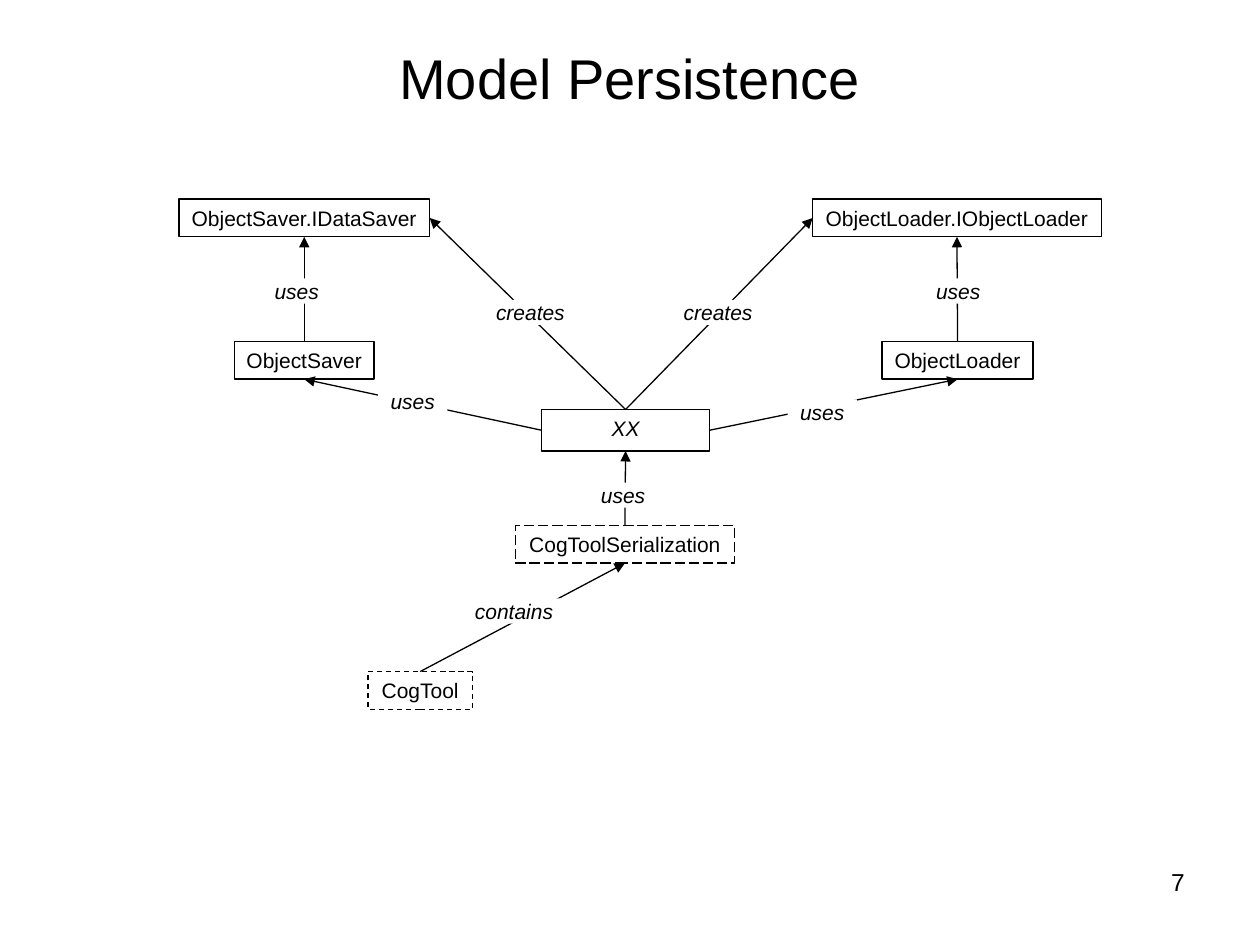
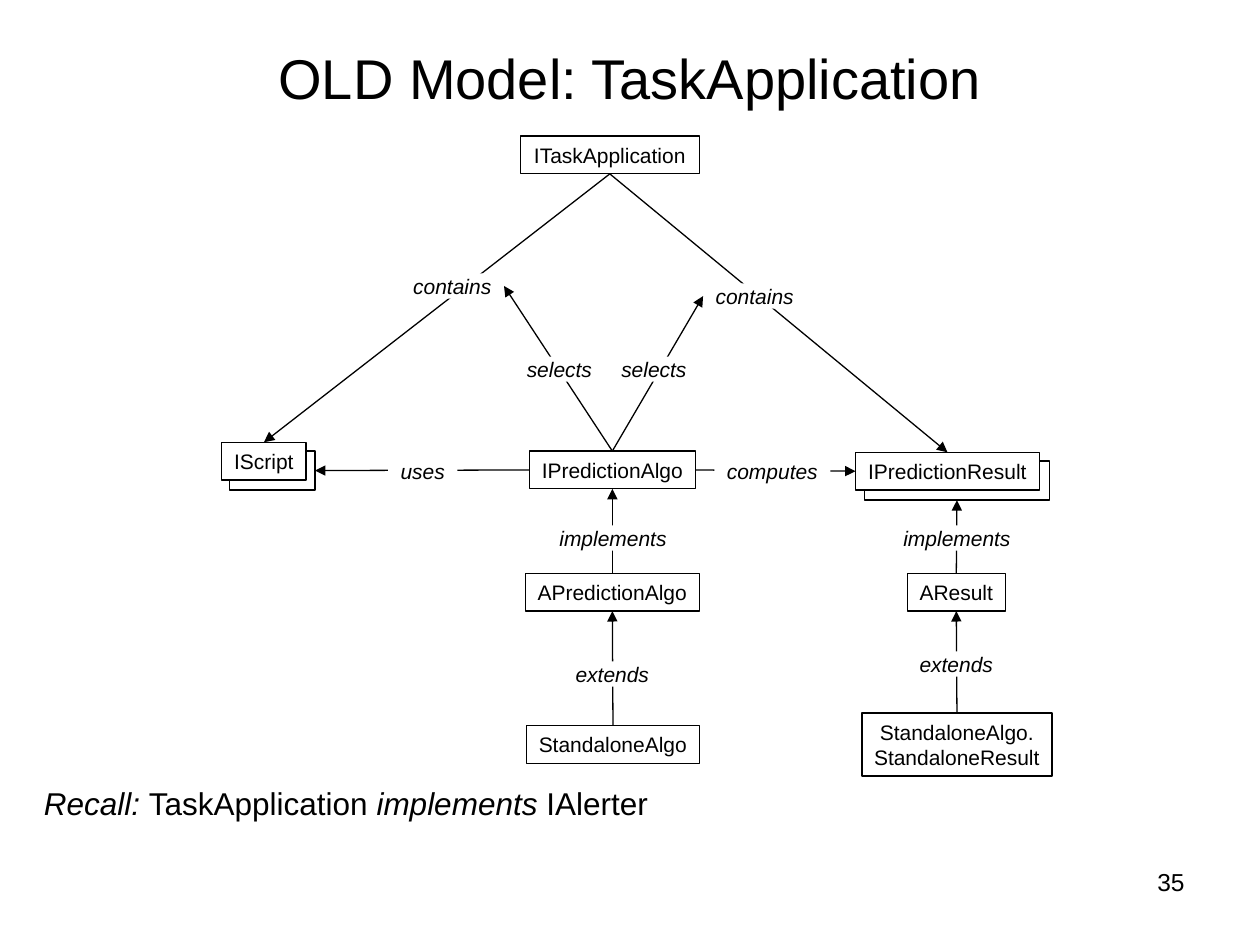
"""Build two class diagram slides: model persistence and the old task application model."""
from lxml.etree import SubElement
from pptx import Presentation
from pptx.dml.color import RGBColor
from pptx.enum.dml import MSO_LINE
from pptx.enum.shapes import MSO_CONNECTOR, MSO_SHAPE
from pptx.enum.text import MSO_ANCHOR, PP_ALIGN
from pptx.oxml.ns import qn
from pptx.util import Inches, Pt

BLACK = RGBColor(0, 0, 0)
WHITE = RGBColor(255, 255, 255)
FONT = "Arial"
TOP, LEFT, BOTTOM, RIGHT = range(4)
ROW = 0.3
WIDTHS = {"uses": 0.55, "creates": 0.74, "contains": 0.82, "selects": 0.72,
          "computes": 0.92, "implements": 1.05, "extends": 0.78}
RESULT = "StandaloneAlgo.\nStandaloneResult"

SLIDES = [
    {
        "title": "Model Persistence",
        "number": "7",
        "stacks": [],
        "boxes": [
            ("XX", 4.3, 3.25, 1.33, 0.33),
            ("CogTool", 2.92, 5.33, 0.83, ROW),
            ("CogToolSerialization", 4.09, 4.17, 1.74, ROW),
            ("ObjectSaver", 1.86, 2.71, 1.11, ROW),
            ("ObjectSaver.IDataSaver", 1.42, 1.58, 1.99, ROW),
            ("ObjectLoader", 7, 2.71, 1.2, ROW),
            ("ObjectLoader.IObjectLoader", 6.45, 1.58, 2.29, ROW),
        ],
        "dashes": {"CogTool": MSO_LINE.DASH, "CogToolSerialization": MSO_LINE.LONG_DASH},
        "italics": ["XX"],
        "links": [
            ("CogTool", TOP, "CogToolSerialization", BOTTOM, "contains", 3.67, 4.75),
            ("CogToolSerialization", TOP, "XX", BOTTOM, "uses", 4.67, 3.83),
            ("XX", LEFT, "ObjectSaver", BOTTOM, "uses", 3, 3.08),
            ("XX", RIGHT, "ObjectLoader", BOTTOM, "uses", 6.25, 3.17),
            ("XX", TOP, "ObjectSaver.IDataSaver", RIGHT, "creates", 3.84, 2.38),
            ("XX", TOP, "ObjectLoader.IObjectLoader", LEFT, "creates", 5.33, 2.38),
            ("ObjectSaver", TOP, "ObjectSaver.IDataSaver", BOTTOM, "uses", 2.08, 2.21),
            ("ObjectLoader", TOP, "ObjectLoader.IObjectLoader", BOTTOM, "uses", 7.33, 2.21),
        ],
        "note": [],
    },
    {
        "title": "OLD Model: TaskApplication",
        "number": "35",
        "stacks": [
            ("IScript stack", 1.82, 3.58, 0.68, 0.31),
            ("IPredictionResult stack", 6.86, 3.66, 1.47, 0.31),
        ],
        "boxes": [
            ("ITaskApplication", 4.13, 1.08, 1.42, ROW),
            ("IScript", 1.76, 3.51, 0.67, ROW),
            ("IPredictionAlgo", 4.2, 3.58, 1.32, ROW),
            ("IPredictionResult", 6.79, 3.59, 1.46, ROW),
            ("AResult", 7.2, 4.55, 0.78, ROW),
            ("APredictionAlgo", 4.17, 4.55, 1.38, ROW),
            ("StandaloneAlgo", 4.18, 5.76, 1.37, ROW),
            (RESULT, 6.84, 5.66, 1.51, 0.5),
        ],
        "dashes": {},
        "italics": [],
        "links": [
            ("ITaskApplication", BOTTOM, "IScript", TOP, "contains", 3.18, 2.17),
            ("ITaskApplication", BOTTOM, "IPredictionResult", TOP, "contains", 5.58, 2.25),
            ("IPredictionAlgo", TOP, "contains IScript", RIGHT, "selects", 4.08, 2.83),
            ("IPredictionAlgo", TOP, "contains IPredictionResult", LEFT, "selects", 4.83, 2.83),
            ("IPredictionAlgo", RIGHT, "IPredictionResult", LEFT, "computes", 5.67, 3.64),
            ("IPredictionAlgo", LEFT, "IScript stack", RIGHT, "uses", 3.08, 3.64),
            ("APredictionAlgo", TOP, "IPredictionAlgo", BOTTOM, "implements", 4.34, 4.17),
            ("AResult", TOP, "IPredictionResult stack", BOTTOM, "implements", 7.07, 4.17),
            (RESULT, TOP, "AResult", BOTTOM, "extends", 7.2, 5.17),
            ("StandaloneAlgo", TOP, "APredictionAlgo", BOTTOM, "extends", 4.47, 5.25),
        ],
        "note": [("Recall: ", True), ("TaskApplication", False),
                 (" implements ", True), ("IAlerter", False)],
    },
]


def style(font, size):
    font.name, font.size = FONT, Pt(size)
    font.color.rgb = BLACK


def add_text(slide, place, text, size, align, anchor=MSO_ANCHOR.TOP):
    frame = slide.shapes.add_textbox(*map(Inches, place)).text_frame
    frame.word_wrap = True
    frame.vertical_anchor = anchor
    para = frame.paragraphs[0]
    para.text, para.alignment = text, align
    style(para.font, size)
    return para


def add_box(slide, place, text="", italic=False, pad=0.05, edge=True, dash=None):
    box = slide.shapes.add_shape(MSO_SHAPE.RECTANGLE, *map(Inches, place))
    box.shadow.inherit = False
    box.fill.solid()
    box.fill.fore_color.rgb = WHITE
    if edge:
        box.line.color.rgb = BLACK
        box.line.width = Pt(0.75)
        if dash:
            box.line.dash_style = dash
    else:
        box.line.fill.background()
    frame = box.text_frame
    frame.text = text
    frame.word_wrap = False
    frame.vertical_anchor = MSO_ANCHOR.TOP
    frame.margin_top = frame.margin_bottom = Inches(pad)
    for para in frame.paragraphs:
        para.alignment = PP_ALIGN.CENTER
        style(para.font, 12)
        para.font.italic = italic
    return box


def add_arrow(slide, start, out, end, into):
    arrow = slide.shapes.add_connector(MSO_CONNECTOR.STRAIGHT, 0, 0, 0, 0)
    arrow.begin_connect(start, out)
    arrow.end_connect(end, into)
    arrow.line.color.rgb = BLACK
    arrow.line.width = Pt(0.75)
    SubElement(arrow.line._get_or_add_ln(), qn("a:tailEnd"), type="triangle")
    SubElement(arrow._element.spPr, qn("a:effectLst"))


def add_slide(deck, data):
    slide = deck.slides.add_slide(deck.slide_layouts[6])
    nodes = {name: add_box(slide, place) for name, *place in data["stacks"]}
    add_text(slide, (0.5, 0.3, 9, 0.62), data["title"], 32, PP_ALIGN.CENTER, MSO_ANCHOR.MIDDLE)
    for name, *place in data["boxes"]:
        nodes[name] = add_box(slide, place, name, name in data["italics"],
                              dash=data["dashes"].get(name))
    for start, out, end, into, label, x, y in data["links"]:
        add_arrow(slide, nodes[start], out, nodes[end], into)
        nodes[f"{label} {end}"] = add_box(slide, (x, y, WIDTHS[label], 0.2), label,
                                          italic=True, pad=0, edge=False)
    if data["note"]:
        para = add_text(slide, (0.25, 6.17, 5.02, 0.4), "", 18, PP_ALIGN.LEFT)
        for text, italic in data["note"]:
            run = para.add_run()
            run.text, run.font.italic = text, italic
    add_text(slide, (7.75, 6.83, 1.75, 0.52), data["number"], 14, PP_ALIGN.RIGHT)


def main():
    deck = Presentation()
    deck.slide_width, deck.slide_height = Inches(10), Inches(7.5)
    for data in SLIDES:
        add_slide(deck, data)
    deck.save("out.pptx")


if __name__ == "__main__":
    main()
